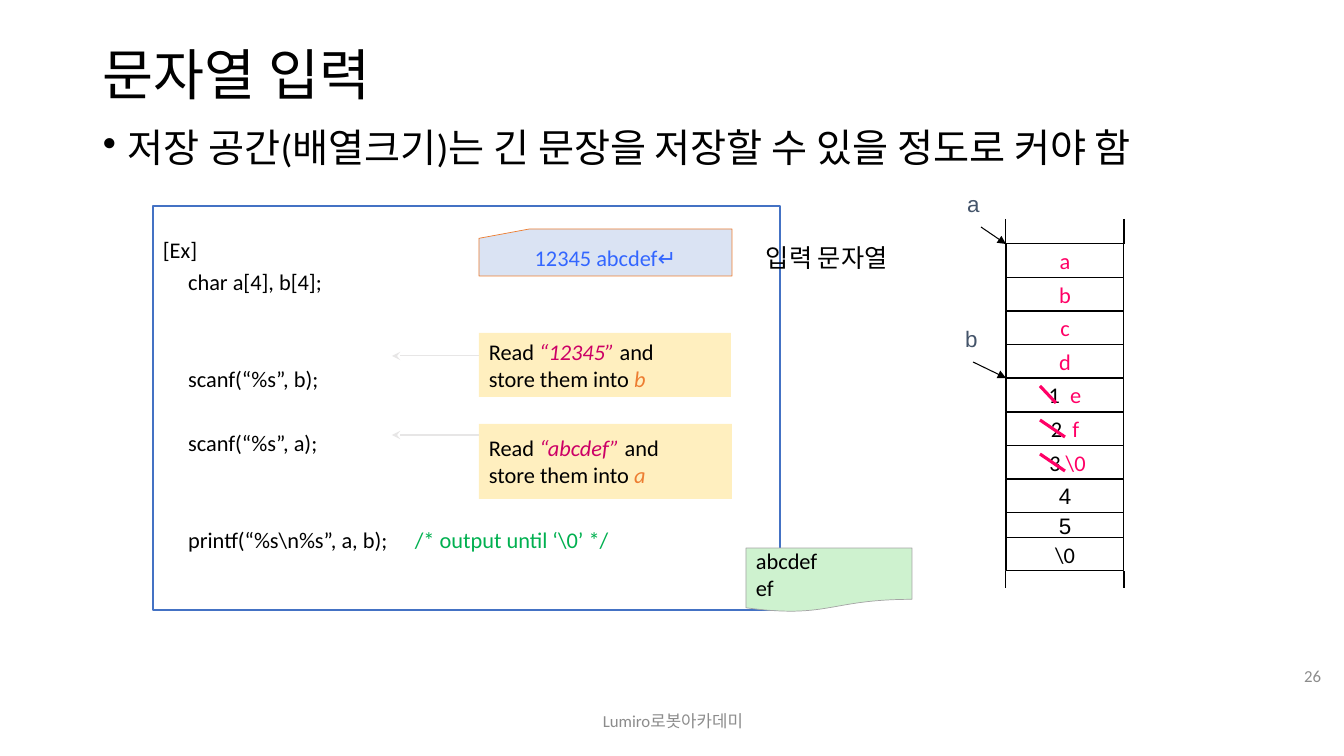
"""Build the slide on string input and the memory it overwrites."""
from dataclasses import dataclass

import lxml.etree
import pptx
import pptx.dml.color
import pptx.enum.shapes
import pptx.enum.text
import pptx.oxml.ns
import pptx.shapes.autoshape
import pptx.slide
import pptx.util

RGBColor = pptx.dml.color.RGBColor
Align = pptx.enum.text.PP_ALIGN
Anchor = pptx.enum.text.MSO_ANCHOR
Preset = pptx.enum.shapes.MSO_SHAPE
Shape = pptx.shapes.autoshape.Shape
Slide = pptx.slide.Slide
qn = pptx.oxml.ns.qn

PX = 12192000 / 1344
BLACK = RGBColor(0x00, 0x00, 0x00)
WHITE = RGBColor(0xFF, 0xFF, 0xFF)
GRAY = RGBColor(0x8C, 0x8C, 0x8C)
LIGHT_GRAY = RGBColor(0xE7, 0xE6, 0xE6)
OUTPUT_LINE = RGBColor(0xA5, 0xA5, 0xA5)
OUTPUT_GREEN = RGBColor(0xCE, 0xF2, 0xCF)
BLUE = RGBColor(0x44, 0x72, 0xC4)
PALE_BLUE = RGBColor(0xDA, 0xE3, 0xF3)
INPUT_BLUE = RGBColor(0x33, 0x66, 0xFF)
SLATE = RGBColor(0x44, 0x54, 0x6A)
ORANGE = RGBColor(0xED, 0x7D, 0x31)
AMBER = RGBColor(0xFF, 0xC0, 0x00)
GREEN = RGBColor(0x00, 0xB0, 0x50)
PINK = RGBColor(0xFF, 0x00, 0x66)
MAGENTA = RGBColor(0xCC, 0x00, 0x66)

CELL_LEFT, CELL_WIDTH, MEMORY_TOP = 1006, 118, 244


def emu(px: float) -> int:
    """Turn px into EMU."""
    return round(px * PX)


@dataclass(frozen=True)
class Piece:
    """A stretch of text in one format."""
    text: str
    color: RGBColor = BLACK
    italic: bool = False
    font: str = "Calibri"


@dataclass(frozen=True)
class Box:
    """A rectangle in px."""
    left: int
    top: int
    width: int
    height: int

    def place(self) -> tuple[int, int, int, int]:
        """Return the rectangle in EMU."""
        return emu(self.left), emu(self.top), emu(self.width), emu(self.height)


@dataclass(frozen=True)
class Line:
    """A straight line in px, with an optional arrowhead at its end."""
    x1: int
    y1: int
    x2: int
    y2: int
    color: RGBColor = BLACK
    width: float = 0.75
    head: str = ""


def write(shape: Shape, lines: list[tuple[Piece, ...]], size: float = 16, align: Align = Align.LEFT,
          anchor: Anchor = Anchor.MIDDLE, line_spacing: float = 1.0) -> None:
    """Fill the shape with one paragraph for each line."""
    frame = shape.text_frame
    frame.word_wrap = True
    frame.vertical_anchor = anchor
    for index, pieces in enumerate(lines):
        paragraph = frame.add_paragraph() if index else frame.paragraphs[0]
        paragraph.alignment = align
        paragraph.line_spacing = line_spacing
        for piece in pieces:
            run = paragraph.add_run()
            run.text = piece.text
            run.font.size = pptx.util.Pt(size)
            run.font.name = piece.font
            run.font.italic = piece.italic
            run.font.color.rgb = piece.color


def add_label(slide: Slide, box: Box, piece: Piece, size: float, align: Align = Align.LEFT,
              anchor: Anchor = Anchor.MIDDLE, line_spacing: float = 1.0) -> Shape:
    """Add a text box with one line of text."""
    shape = slide.shapes.add_textbox(*box.place())
    write(shape, [(piece,)], size, align, anchor, line_spacing)
    return shape


def add_box(slide: Slide, preset: Preset, box: Box, fill: RGBColor,
            line: RGBColor | None = None, width: float = 0.5) -> Shape:
    """Add a preset shape without shadow."""
    shape = slide.shapes.add_shape(preset, *box.place())
    shape.shadow.inherit = False
    shape.fill.solid()
    shape.fill.fore_color.rgb = fill
    if line is None:
        shape.line.fill.background()
    else:
        shape.line.color.rgb = line
        shape.line.width = pptx.util.Pt(width)
    return shape


def add_line(slide: Slide, line: Line) -> None:
    """Add a straight connector."""
    connector = slide.shapes.add_connector(
        pptx.enum.shapes.MSO_CONNECTOR.STRAIGHT, emu(line.x1), emu(line.y1), emu(line.x2), emu(line.y2))
    connector.line.color.rgb = line.color
    connector.line.width = pptx.util.Pt(line.width)
    properties = connector.element.find(qn("p:spPr"))
    if line.head:
        lxml.etree.SubElement(properties.find(qn("a:ln")), qn("a:tailEnd"), type=line.head)
    lxml.etree.SubElement(properties, qn("a:effectLst"))


def add_code(slide: Slide) -> None:
    """Add the framed program."""
    shape = add_box(slide, Preset.RECTANGLE, Box(153, 206, 627, 404), WHITE, BLUE, 1)
    plain = ("[Ex]", "     char a[4], b[4];", "     scanf(“%s”, b);", "     scanf(“%s”, a);")
    output = (Piece("     printf(“%s\\n%s”, a, b);\t"), Piece("/* output until ‘\\0’ */", GREEN))
    write(shape, [(Piece(text),) for text in plain] + [output], anchor=Anchor.TOP, line_spacing=1.2)
    shape.text_frame.margin_top = emu(25)
    for paragraph, gap in zip(shape.text_frame.paragraphs[2:], (46, 23, 46)):
        paragraph.space_before = pptx.util.Pt(gap)


def add_note(slide: Slide, box: Box, word: str, target: str, arrow_y: int) -> None:
    """Add a translucent note and the arrow to its code line."""
    shape = add_box(slide, Preset.RECTANGLE, box, AMBER)
    lxml.etree.SubElement(shape.element.find(".//" + qn("a:srgbClr")), qn("a:alpha"), val="25000")
    write(shape, [(Piece("Read "), Piece(f"“{word}”", MAGENTA, True), Piece(" and")),
                  (Piece("store them into "), Piece(target, ORANGE, True))])
    add_line(slide, Line(box.left, arrow_y, 392, arrow_y, LIGHT_GRAY, head="stealth"))


def add_memory(slide: Slide) -> None:
    """Add the memory column, its open ends, pointers and strikes."""
    cells = [(Piece(letter, PINK),) for letter in "abcd"]
    cells += [(Piece(old), Piece(new, PINK)) for old, new in (("1  ", "e"), ("2  ", "f"), (" 3 ", "\\0"))]
    cells += [(Piece(digit, font="Arial"),) for digit in "45"] + [(Piece("\\0"),)]
    edges = [round(MEMORY_TOP + 33.6 * index) for index in range(9)] + [538, 571]
    for pieces, top, bottom in zip(cells, edges, edges[1:]):
        box = Box(CELL_LEFT, top, CELL_WIDTH, bottom - top)
        shape = add_box(slide, Preset.RECTANGLE, box, WHITE, BLACK, 0.75)
        write(shape, [pieces], align=Align.CENTER)
    for x in (CELL_LEFT, CELL_LEFT + CELL_WIDTH):
        add_line(slide, Line(x, 219, x, MEMORY_TOP))
        add_line(slide, Line(x, 571, x, 588))
    for top, end in zip(edges[4:7], (1056, 1065, 1065)):
        add_line(slide, Line(1040, top + 8, end, top + 25, PINK, 2.25))
    for name, box, x, y, top in (("a", Box(955, 185, 37, 37), 981, 227, edges[0]),
                                 ("b", Box(955, 320, 33, 37), 973, 362, edges[4])):
        add_label(slide, box, Piece(name, SLATE, font="Arial"), 16, Align.CENTER)
        add_line(slide, Line(x, y, CELL_LEFT, top, head="triangle"))


def main() -> None:
    """Build and save the presentation."""
    presentation = pptx.Presentation()
    presentation.slide_width, presentation.slide_height = emu(1344), emu(756)
    slide = presentation.slides.add_slide(presentation.slide_layouts[6])
    add_label(slide, Box(93, 40, 1159, 76), Piece("문자열 입력"), 39.6, line_spacing=0.9)
    rule = Piece("저장 공간(배열크기)는 긴 문장을 저장할 수 있을 정도로 커야 함")
    body = add_label(slide, Box(93, 124, 1159, 557), rule, 28, anchor=Anchor.TOP, line_spacing=0.9)
    properties = body.element.find(".//" + qn("a:pPr"))
    properties.set("marL", str(emu(25)))
    properties.set("indent", str(emu(-25)))
    lxml.etree.SubElement(properties, qn("a:buChar"), char="•")
    add_label(slide, Box(446, 701, 454, 40), Piece("Lumiro로봇아카데미", GRAY), 12, Align.CENTER)
    add_label(slide, Box(1269, 656, 62, 40), Piece("26", GRAY), 12, Align.RIGHT)
    add_code(slide)
    card = add_box(slide, Preset.FLOWCHART_CARD, Box(479, 229, 253, 47), PALE_BLUE, ORANGE)
    write(card, [(Piece("12345 abcdef↵", INPUT_BLUE),)], align=Align.CENTER)
    output = add_box(slide, Preset.FLOWCHART_DOCUMENT, Box(746, 548, 166, 64), OUTPUT_GREEN, OUTPUT_LINE)
    write(output, [(Piece("abcdef"),), (Piece("ef"),)])
    add_memory(slide)
    add_note(slide, Box(479, 333, 252, 64), "12345", "b", 356)
    add_note(slide, Box(479, 424, 253, 75), "abcdef", "a", 435)
    add_label(slide, Box(756, 237, 166, 40), Piece("입력 문자열"), 18, anchor=Anchor.TOP)
    presentation.save("out.pptx")


if __name__ == "__main__":
    main()
